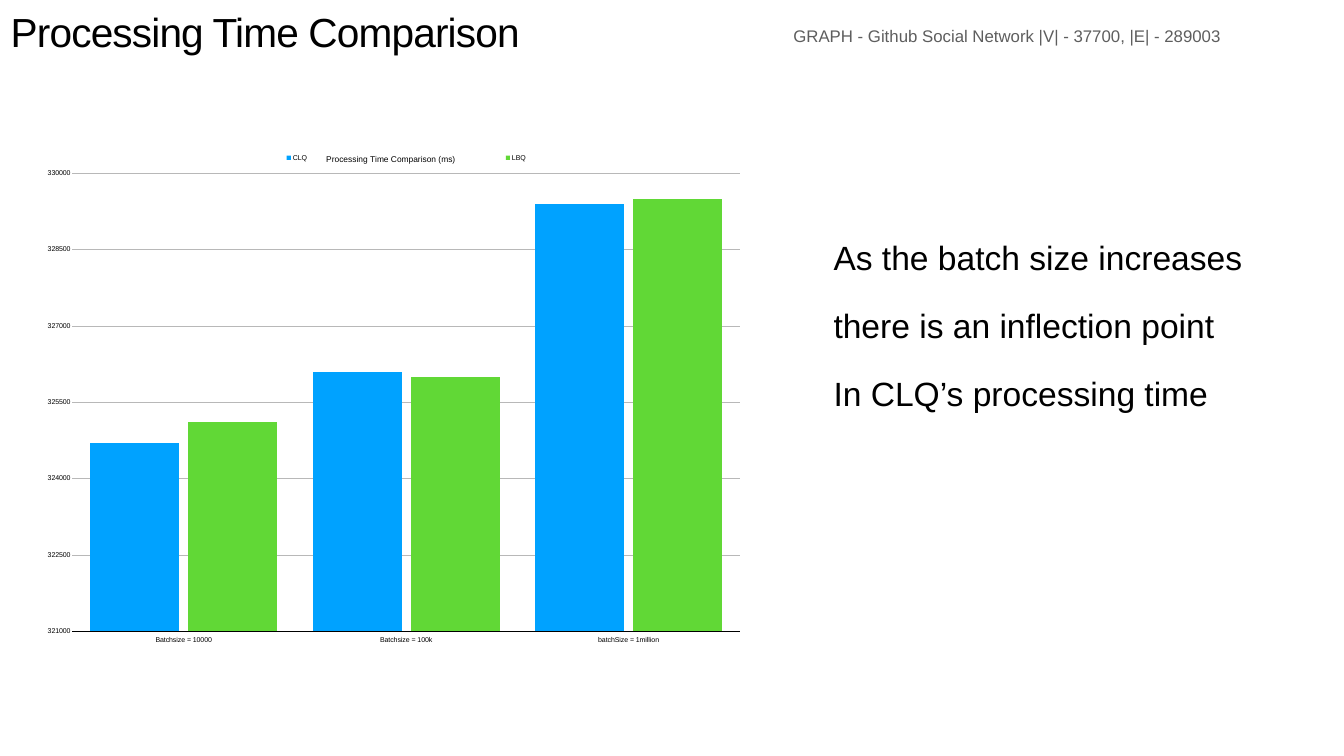
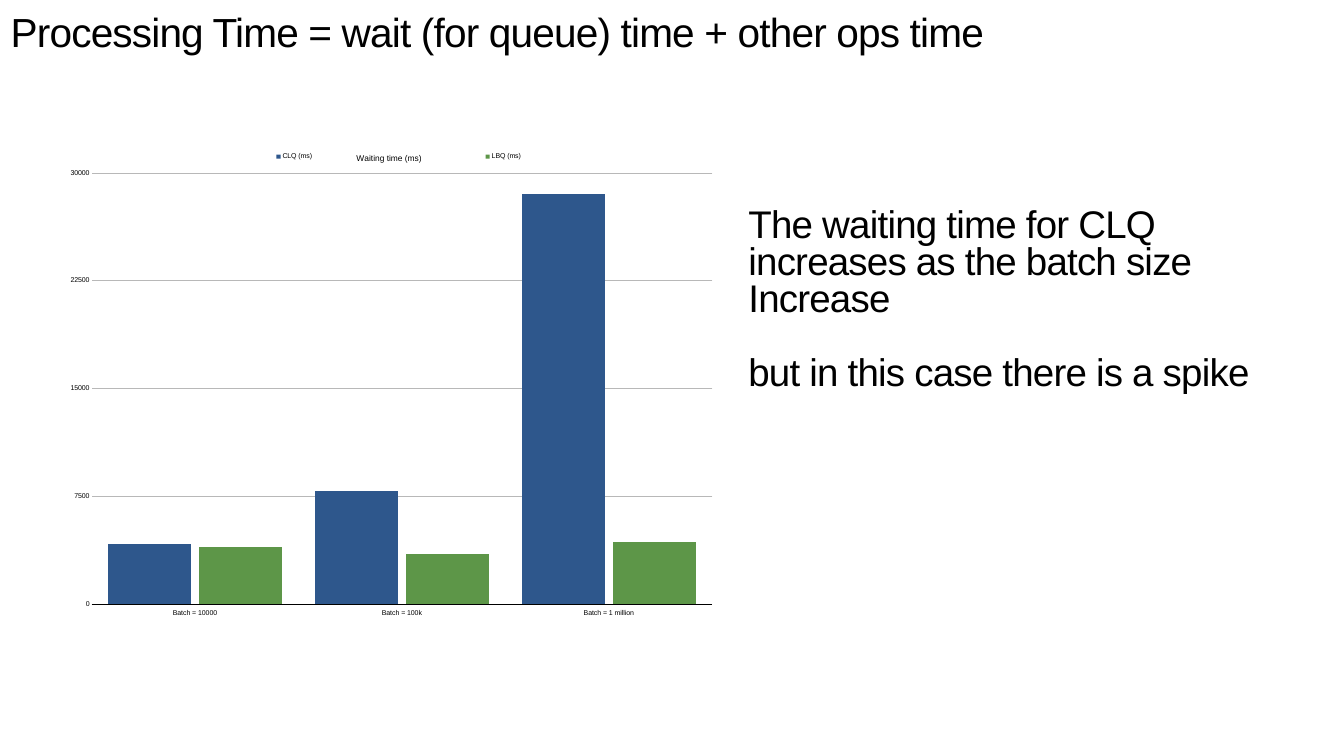
from dataclasses import dataclass

from pptx import Presentation
from pptx.chart.chart import Chart
from pptx.chart.data import CategoryChartData
from pptx.dml.color import RGBColor
from pptx.enum.chart import XL_CHART_TYPE, XL_LEGEND_POSITION, XL_TICK_LABEL_POSITION, XL_TICK_MARK
from pptx.enum.text import MSO_ANCHOR, MSO_AUTO_SIZE, PP_ALIGN
from pptx.oxml import parse_xml
from pptx.oxml.ns import nsdecls
from pptx.shapes.base import BaseShape
from pptx.slide import Slide
from pptx.util import Cm, Pt


@dataclass(frozen=True)
class Theme:
    font: str = "Arial"
    ink: str = "000000"
    muted: str = "5E5E5E"
    grid: str = "B8B8B8"
    title_size: int = 58
    caption_size: int = 24
    chart_title_size: int = 12
    label_size: int = 10


THEME = Theme()
INSET = Cm(0.15)


@dataclass(frozen=True)
class Box:
    left: float
    top: float
    width: float
    height: float

    def lengths(self) -> tuple[Cm, Cm, Cm, Cm]:
        return Cm(self.left), Cm(self.top), Cm(self.width), Cm(self.height)


@dataclass(frozen=True)
class Remark:
    box: Box
    lines: tuple[str, ...]
    size: int
    line_spacing: float
    space_before: tuple[int, ...]
    tracking: float = 0


@dataclass(frozen=True)
class Series:
    name: str
    values: tuple[int, ...]
    color: str


@dataclass(frozen=True)
class TimeChart:
    box: Box
    title: str
    categories: tuple[str, ...]
    series: tuple[Series, ...]
    minimum: int
    maximum: int
    step: int
    plot_area: Box
    title_area: Box
    legend_area: Box


@dataclass(frozen=True)
class Page:
    title: str
    title_width: float
    remark: Remark
    chart: TimeChart
    caption: str = ""


CAPTION_BOX = Box(34.98, 1.17, 31.55, 1.27)

PAGES = (
    Page(
        title="Processing Time Comparison",
        title_width=32.82,
        caption="GRAPH - Github Social Network |V| - 37700, |E| - 289003",
        remark=Remark(
            Box(41.86, 11.99, 20.96, 9.04),
            ("As the batch size increases", "there is an inflection point", "In CLQ’s processing time"),
            size=48, line_spacing=0.9, space_before=(45, 45, 45),
        ),
        chart=TimeChart(
            Box(2.06, 7.42, 35.41, 25.27),
            "Processing Time Comparison (ms)",
            ("Batchsize = 10000", "Batchsize = 100k", "batchSize = 1million"),
            (
                Series("CLQ", (324700, 326100, 329400), "00A2FF"),
                Series("LBQ", (325100, 326000, 329500), "61D836"),
            ),
            minimum=321000, maximum=330000, step=1500,
            plot_area=Box(0.045, 0.052, 0.95, 0.913),
            title_area=Box(0.404, 0.011, 0.19, 0.04),
            legend_area=Box(0.07, 0, 0.9, 0.042),
        ),
    ),
    Page(
        title="Processing Time = wait (for queue) time + other ops time",
        title_width=57.73,
        remark=Remark(
            Box(37.57, 10.01, 26.72, 10.34),
            (
                "The waiting time for CLQ",
                "increases as the batch size",
                "Increase",
                "but in this case there is a spike",
            ),
            size=55, line_spacing=0.8, space_before=(0, 0, 0, 53), tracking=-1.1,
        ),
        chart=TimeChart(
            Box(3.2, 7.39, 32.87, 23.93),
            "Waiting time (ms)",
            ("Batch = 10000", "Batch = 100k", "Batch = 1 million"),
            (
                Series("CLQ (ms)", (4200, 7900, 28500), "2E578C"),
                Series("LBQ (ms)", (4000, 3500, 4300), "5D9648"),
            ),
            minimum=0, maximum=30000, step=7500,
            plot_area=Box(0.043, 0.055, 0.952, 0.909),
            title_area=Box(0.447, 0.011, 0.11, 0.04),
            legend_area=Box(0.064, 0, 0.9, 0.042),
        ),
    ),
)


def style_font(font, size: float, color: str = THEME.ink) -> None:
    font.name = THEME.font
    font.size = Pt(size)
    font.bold = False
    font.color.rgb = RGBColor.from_string(color)


def write_text(
    sp: BaseShape,
    box: Box,
    *lines: str,
    size: float,
    color: str = THEME.ink,
    align: PP_ALIGN = PP_ALIGN.LEFT,
    line_spacing: float = 1.0,
    space_before: tuple[int, ...] = (),
    tracking: float = 0,
    wrap: bool = True,
) -> None:
    sp.left, sp.top, sp.width, sp.height = box.lengths()
    tf = sp.text_frame
    tf.auto_size = MSO_AUTO_SIZE.NONE
    tf.word_wrap = wrap
    tf.vertical_anchor = MSO_ANCHOR.MIDDLE
    tf.margin_left = tf.margin_right = tf.margin_top = tf.margin_bottom = INSET
    for i, line in enumerate(lines):
        p = tf.paragraphs[0] if i == 0 else tf.add_paragraph()
        p.alignment = align
        p.line_spacing = line_spacing
        p.space_before = Pt(space_before[i] if space_before else 0)
        p.space_after = Pt(0)
        pPr = p._p.get_or_add_pPr()
        pPr.set("marL", "0")
        pPr.set("indent", "0")
        pPr.append(parse_xml(f"<a:buNone {nsdecls('a')}/>"))
        r = p.add_run()
        r.text = line
        style_font(r.font, size, color)
        if tracking:
            r._r.get_or_add_rPr().set("spc", str(round(tracking * 100)))


def place_chart_part(chart: Chart, tag: str, index: int, area: Box, target: str = "") -> None:
    part = chart.element.xpath(f".//c:{tag}")[0]
    for layout in part.xpath("./c:layout"):
        part.remove(layout)
    inner = f'<c:layoutTarget val="{target}"/>' if target else ""
    part.insert(index, parse_xml(
        f'<c:layout {nsdecls("c")}><c:manualLayout>{inner}'
        '<c:xMode val="edge"/><c:yMode val="edge"/>'
        f'<c:x val="{area.left}"/><c:y val="{area.top}"/>'
        f'<c:w val="{area.width}"/><c:h val="{area.height}"/>'
        "</c:manualLayout></c:layout>"
    ))


def style_axes(chart: Chart, time_chart: TimeChart) -> None:
    category, value = chart.category_axis, chart.value_axis
    for axis in (category, value):
        axis.major_tick_mark = axis.minor_tick_mark = XL_TICK_MARK.NONE
        style_font(axis.tick_labels.font, THEME.label_size)
    category.tick_label_position = XL_TICK_LABEL_POSITION.LOW
    category.format.line.color.rgb = RGBColor.from_string(THEME.ink)
    category.format.line.width = Pt(1)
    value.minimum_scale = time_chart.minimum
    value.maximum_scale = time_chart.maximum
    value.major_unit = time_chart.step
    value.format.line.fill.background()
    gridline = value.major_gridlines.format.line
    gridline.color.rgb = RGBColor.from_string(THEME.grid)
    gridline.width = Pt(0.5)


def add_time_chart(s: Slide, time_chart: TimeChart) -> None:
    data = CategoryChartData()
    data.categories = time_chart.categories
    for series in time_chart.series:
        data.add_series(series.name, series.values)
    chart = s.shapes.add_chart(
        XL_CHART_TYPE.COLUMN_CLUSTERED, *time_chart.box.lengths(), data
    ).chart
    style_font(chart.font, THEME.label_size, THEME.muted)

    chart.has_title = True
    p = chart.chart_title.text_frame.paragraphs[0]
    r = p.add_run()
    r.text = time_chart.title
    style_font(r.font, THEME.chart_title_size)
    for overlay in chart.element.xpath(".//c:title/c:overlay"):
        overlay.set("val", "1")

    chart.has_legend = True
    chart.legend.position = XL_LEGEND_POSITION.TOP
    chart.legend.include_in_layout = True
    style_font(chart.legend.font, THEME.label_size)

    plot = chart.plots[0]
    plot.gap_width = 40
    plot.overlap = -10
    plot.vary_by_categories = False
    for bars, series in zip(plot.series, time_chart.series):
        bars.format.fill.solid()
        bars.format.fill.fore_color.rgb = RGBColor.from_string(series.color)
    style_axes(chart, time_chart)
    place_chart_part(chart, "plotArea", 0, time_chart.plot_area, "inner")
    place_chart_part(chart, "title", 1, time_chart.title_area)
    place_chart_part(chart, "legend", 1, time_chart.legend_area)


def add_page(prs: Presentation, page: Page) -> None:
    s = prs.slides.add_slide(prs.slide_layouts[1])
    write_text(
        s.shapes.title, Box(0.39, -0.2, page.title_width, 4.06), page.title,
        size=THEME.title_size, line_spacing=0.8, tracking=-1.2,
    )
    if page.caption:
        write_text(
            s.shapes.add_textbox(*CAPTION_BOX.lengths()), CAPTION_BOX, page.caption,
            size=THEME.caption_size, color=THEME.muted, align=PP_ALIGN.CENTER,
        )
    remark = page.remark
    write_text(
        s.placeholders[1], remark.box, *remark.lines,
        size=remark.size, line_spacing=remark.line_spacing,
        space_before=remark.space_before, tracking=remark.tracking, wrap=False,
    )
    add_time_chart(s, page.chart)


def main() -> None:
    prs = Presentation()
    prs.slide_width, prs.slide_height = Cm(67.74), Cm(38.1)
    for page in PAGES:
        add_page(prs, page)
    prs.save("out.pptx")


if __name__ == "__main__":
    main()
